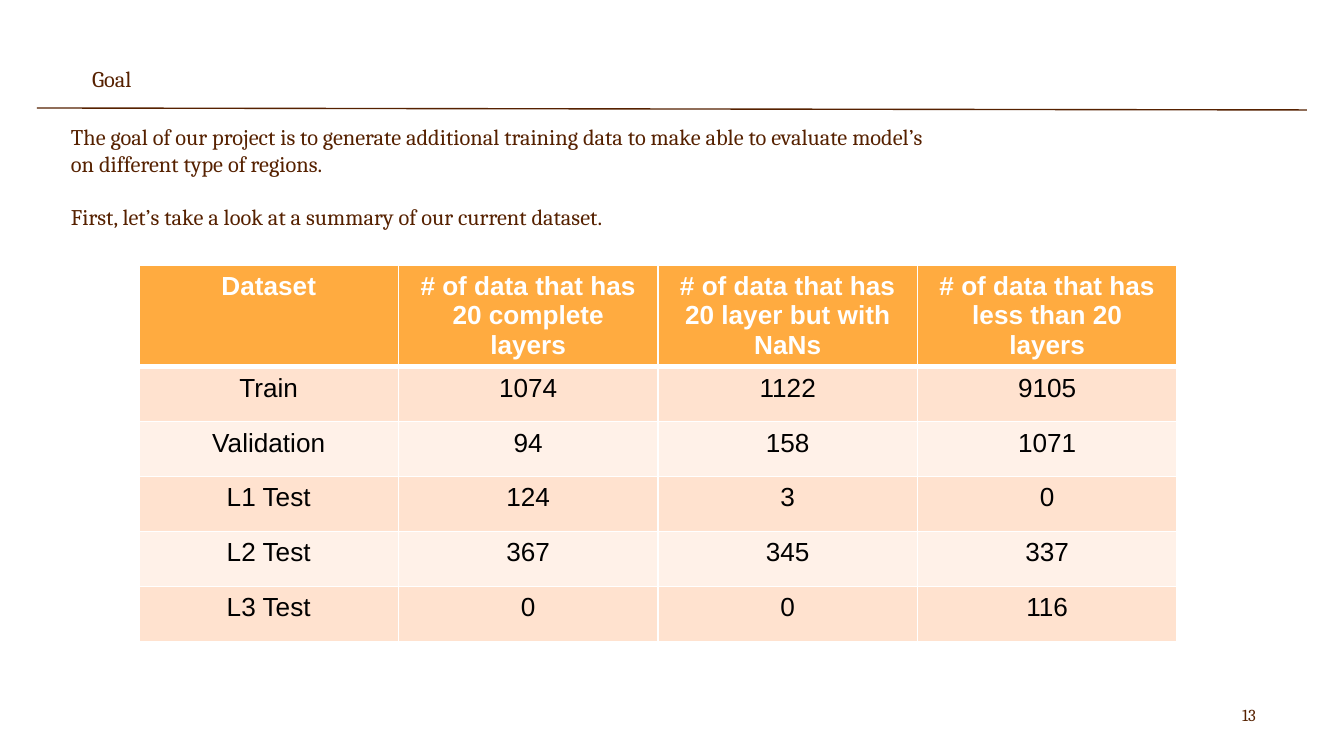
from lxml import etree
from pptx import Presentation
from pptx.dml.color import RGBColor
from pptx.enum.shapes import MSO_CONNECTOR
from pptx.enum.text import MSO_ANCHOR, MSO_AUTO_SIZE, PP_ALIGN
from pptx.oxml.ns import qn
from pptx.util import Pt

LEFT, MID, RIGHT = PP_ALIGN.LEFT, PP_ALIGN.CENTER, PP_ALIGN.RIGHT
TOP, CENTRE = MSO_ANCHOR.TOP, MSO_ANCHOR.MIDDLE
FIXED = MSO_AUTO_SIZE.NONE
STRAIGHT = MSO_CONNECTOR.STRAIGHT

SCALE = 914400 / 134.4
INSET = 13
COLORS = {
    "brown": "562100",
    "head": "FFAB40",
    "odd": "FFE2CF",
    "even": "FFF1E8",
    "white": "FFFFFF",
    "black": "000000",
}
GOAL = [
    "The goal of our project is to generate additional training data to make "
    "able to evaluate model’s on different type of regions.",
    "First, let’s take a look at a summary of our current dataset.",
]
COUNTS = [
    ["Dataset", "# of data that has 20 complete layers",
     "# of data that has 20 layer but with NaNs",
     "# of data that has less than 20 layers"],
    ["Train", "1074", "1122", "9105"],
    ["Validation", "94", "158", "1071"],
    ["L1 Test", "124", "3", "0"],
    ["L2 Test", "367", "345", "337"],
    ["L3 Test", "0", "0", "116"],
]


def px(n):
    return round(n * SCALE)


def rgb(name):
    return RGBColor.from_string(COLORS[name])


class Page:
    """Style and current slide, with a method for each kind of element."""

    serif, sans = "Cambria", "Arial"

    def __init__(self, deck):
        self.slide = deck.slides.add_slide(deck.slide_layouts[5])
        self.shapes = self.slide.shapes

    def add_run(self, para, text, size, font, color, bold=False):
        run = para.add_run()
        run.text = text
        run.font.size = Pt(size)
        run.font.name = font
        run.font.bold = bold
        run.font.color.rgb = rgb(color)

    def fill_frame(self, frame, paras, size, align, anchor):
        frame.word_wrap = True
        frame.auto_size = FIXED
        frame.vertical_anchor = anchor
        frame.margin_left = frame.margin_right = px(INSET)
        frame.margin_top = frame.margin_bottom = px(INSET)
        for i, text in enumerate(paras):
            para = frame.add_paragraph() if i else frame.paragraphs[0]
            para.alignment = align
            if i:
                para.space_before = Pt(14.4)
            self.add_run(para, text, size, self.serif, "brown")

    def title(self, text, x, y, w, h):
        head = self.shapes.title
        head.left, head.top, head.width, head.height = map(px, (x, y, w, h))
        self.fill_frame(head.text_frame, [text], 12, LEFT, CENTRE)

    def text(self, paras, x, y, w, h, size=12, align=LEFT, anchor=TOP):
        box = self.shapes.add_textbox(*map(px, (x, y, w, h)))
        self.fill_frame(box.text_frame, paras, size, align, anchor)

    def line(self, x1, y1, x2, y2):
        rule = self.shapes.add_connector(STRAIGHT, *map(px, (x1, y1, x2, y2)))
        rule.line.color.rgb = rgb("brown")
        rule.line.width = Pt(0.75)
        etree.SubElement(rule._element.spPr, qn("a:effectLst"))

    def border(self, cell, top, bottom):
        """Draw white cell edges; top and bottom are widths in points."""
        props = cell._tc.get_or_add_tcPr()
        for side, width in zip("LRTB", (1, 1, top, bottom)):
            edge = etree.SubElement(props, qn(f"a:ln{side}"), w=str(Pt(width)))
            fill = etree.SubElement(edge, qn("a:solidFill"))
            etree.SubElement(fill, qn("a:srgbClr"), val=COLORS["white"])

    def table(self, rows, x, y, w, head, step):
        """Place a table with a head row and body rows of height step."""
        high = head + step * (len(rows) - 1)
        grid = self.shapes.add_table(
            len(rows), len(rows[0]), *map(px, (x, y, w, high))).table
        grid.horz_banding = False
        for r, row in enumerate(rows):
            grid.rows[r].height = px(step if r else head)
            band = ("odd" if r % 2 else "even") if r else "head"
            for c, text in enumerate(row):
                cell = grid.cell(r, c)
                self.border(cell, 3 if r == 1 else 1, 1 if r else 3)
                cell.fill.solid()
                cell.fill.fore_color.rgb = rgb(band)
                para = cell.text_frame.paragraphs[0]
                para.alignment = MID
                self.add_run(para, text, 14, self.sans,
                             "black" if r else "white", bold=r == 0)


def main():
    deck = Presentation()
    deck.slide_width, deck.slide_height = px(1344), px(756)
    page = Page(deck)
    page.text(["13"], 1188, 686, 81, 58, size=9, align=RIGHT, anchor=CENTRE)
    page.title("Goal", 79, 50, 899, 58)
    page.line(37, 108, 1307, 110)
    page.table(COUNTS, 139, 265, 1038, 100, 55)
    page.text(GOAL, 58, 110, 899, 165)
    deck.save("out.pptx")


if __name__ == "__main__":
    main()
